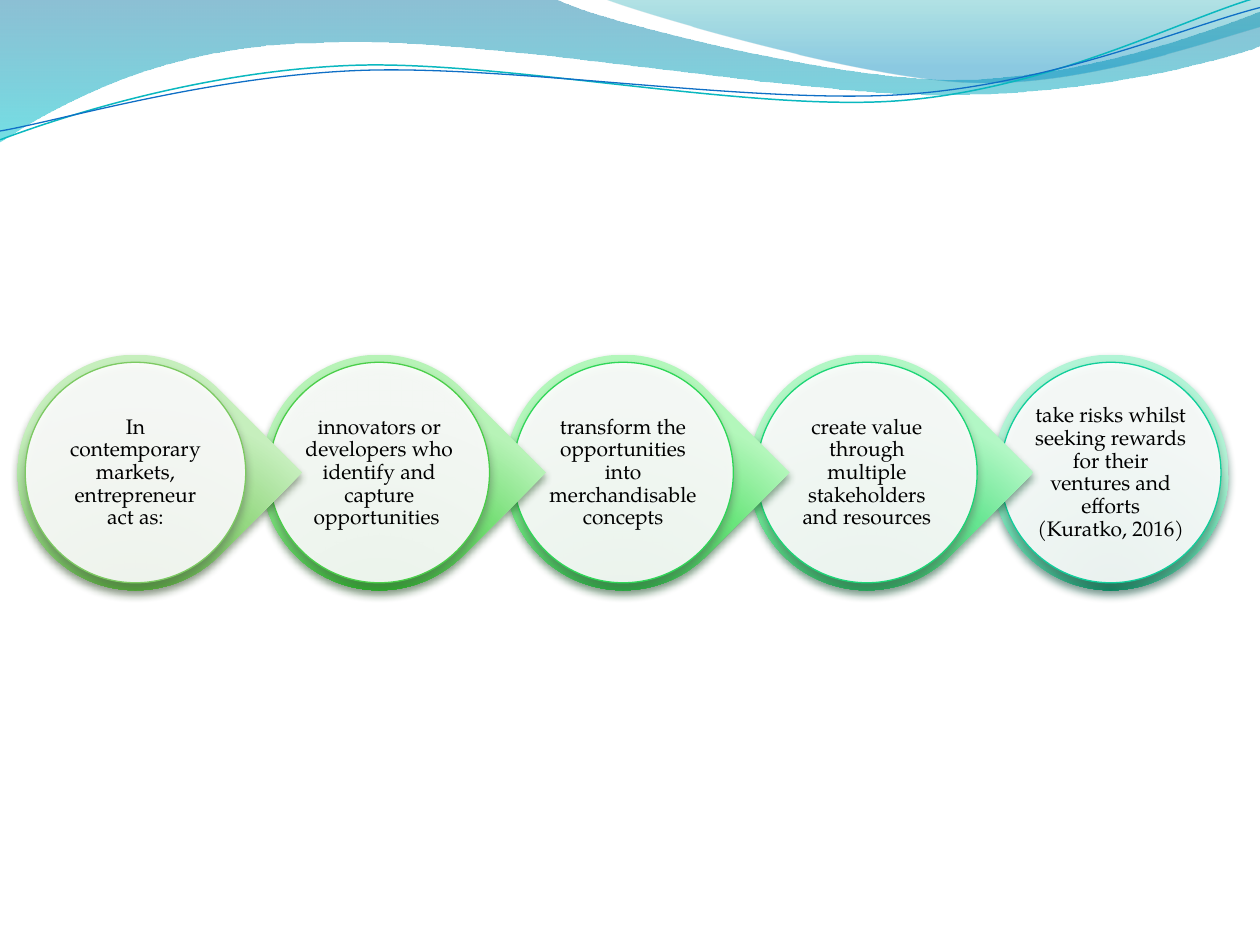
from math import cos, radians, sin

from lxml.etree import SubElement
from pptx import Presentation
from pptx.dml.color import RGBColor
from pptx.enum.shapes import MSO_SHAPE
from pptx.enum.text import MSO_ANCHOR, PP_ALIGN
from pptx.oxml.ns import qn
from pptx.util import Inches, Pt

FONT = "TeX Gyre Pagella"
BLACK = RGBColor(0x00, 0x00, 0x00)
WHITE = RGBColor(0xFF, 0xFF, 0xFF)
GREY = RGBColor(0x5A, 0x5A, 0x5A)
TEAL = RGBColor(0x0A, 0xB8, 0xBF)
BLUE = RGBColor(0x0F, 0x6F, 0xC6)
WAVE_STOPS = [(0, RGBColor(0x00, 0x74, 0xA1), 45), (100, RGBColor(0x00, 0xC6, 0xCF), 55)]
CREST_STOPS = [(0, RGBColor(0x00, 0xA1, 0xA9), 30), (80, RGBColor(0x00, 0x8B, 0xBF), 45)]

WAVE = [(0, -0.01), (4.4, -0.01), (4.76, 0.17, 6.64, 0.63, 7.58, 0.63),
        (8.53, 0.63, 9.58, 0.26, 10, 0.09), (10.01, 0.36),
        (9.83, 0.44, 8.7, 0.76, 7.46, 0.75), (6.22, 0.75, 3.82, 0.28, 2.57, 0.34),
        (1.29, 0.35, 0.46, 0.83, -0.01, 1.13)]
CREST = [(4.79, -0.01), (5.09, 0.11, 6.82, 0.62, 7.69, 0.65),
         (8.56, 0.69, 9.61, 0.32, 10, 0.21), (10, 0)]
TEAL_LINE = [(0, 1.11), (0.48, 0.93, 1.58, 0.57, 2.77, 0.52),
             (3.95, 0.47, 5.93, 0.89, 7.13, 0.8), (8.33, 0.71, 9.38, 0.15, 9.98, -0.02)]
BLUE_LINE = [(0, 1.04), (0.47, 0.96, 1.64, 0.61, 2.83, 0.56),
             (4.03, 0.51, 5.97, 0.83, 7.17, 0.75), (8.36, 0.67, 9.41, 0.21, 10, 0.06)]
LINE_TILT = -2.7
LINE_CENTER = (4.99, 0.58)

STEPS = [
    ("In contemporary markets, entrepreneur act as:",
     "319811", "95D882", "C6EFBD", "7CCA62", "2B4821"),
    ("innovators or developers who identify and capture opportunities ",
     "01A000", "75DE75", "B7F3B7", "4ACF49", "194A19"),
    ("transform the opportunities into merchandisable concepts",
     "009820", "6AE57C", "B3F7BB", "2FD757", "0F4D1E"),
    ("create value through multiple stakeholders and resources",
     "00923F", "66E591", "B2F7C5", "1CD676", "084D29"),
    ("take risks whilst seeking rewards for their ventures and efforts (Kuratko, 2016)",
     "008C60", "65DEB0", "B2F4D6", "10CF9B", "044A37"),
]
FIRST_LEFT, LAST_LEFT, MIDDLE = 0.14, 7.88, 3.75
PITCH = (LAST_LEFT - FIRST_LEFT) / (len(STEPS) - 1)
RIM_SIZE, DISC_SIZE, TEXT_SIZE = 1.87, 1.75, 1.25


def add_color(parent, color, alpha=100):
    """Append a colour with an opacity in percent."""
    element = SubElement(parent, qn("a:srgbClr"), val=str(color))
    if alpha < 100:
        SubElement(element, qn("a:alpha"), val=str(alpha * 1000))


def set_gradient(shape, stops, radial=False):
    """Fill a shape with a downward or a radial gradient."""
    shape.fill.background()
    empty = shape._element.spPr.find(qn("a:noFill"))
    gradient = empty.makeelement(qn("a:gradFill"), {"rotWithShape": "0" if radial else "1"})
    stop_list = SubElement(gradient, qn("a:gsLst"))
    for position, color, alpha in stops:
        add_color(SubElement(stop_list, qn("a:gs"), pos=str(position * 1000)), color, alpha)
    if radial:
        circle = SubElement(gradient, qn("a:path"), path="circle")
        SubElement(circle, qn("a:fillToRect"), l="50000", t="130000", r="50000", b="-30000")
    else:
        SubElement(gradient, qn("a:lin"), ang="5400000", scaled="1")
    empty.getparent().replace(empty, gradient)


def set_shadow(shape, color):
    """Give a shape a soft shadow below it."""
    shape.shadow.inherit = False
    effects = shape._element.spPr.find(qn("a:effectLst"))
    shadow = SubElement(effects, qn("a:outerShdw"), blurRad=str(Pt(4.5)), dist=str(Pt(3)),
                        dir="5400000", rotWithShape="0")
    add_color(shadow, color, 48)


def point_pairs(segment):
    """Split flat coordinates into points."""
    return list(zip(segment[::2], segment[1::2]))


def level(segment):
    """Turn the points of a tilted line back to level."""
    angle = radians(-LINE_TILT)
    center_x, center_y = LINE_CENTER
    turned = []
    for x, y in point_pairs(segment):
        across, down = x - center_x, y - center_y
        turned += [center_x + across * cos(angle) - down * sin(angle),
                   center_y + across * sin(angle) + down * cos(angle)]
    return turned


def add_outline(slide, segments, close):
    """Add a freeform of lines and cubic curves without a shadow."""
    ends = [(Inches(segment[-2]), Inches(segment[-1])) for segment in segments]
    builder = slide.shapes.build_freeform(*ends[0])
    builder.add_line_segments(ends[1:], close=close)
    shape = builder.convert_to_shape()
    shape.shadow.inherit = False
    lines = list(shape._element.iter(qn("a:lnTo")))
    for line, segment in zip(lines, segments[1:]):
        if len(segment) == 6:
            curve = line.makeelement(qn("a:cubicBezTo"), {})
            for x, y in point_pairs(segment):
                SubElement(curve, qn("a:pt"), x=str(Inches(x) - shape.left),
                           y=str(Inches(y) - shape.top))
            line.getparent().replace(line, curve)
    return shape


def add_wave(slide, segments, stops):
    """Add a filled wave."""
    shape = add_outline(slide, segments, True)
    set_gradient(shape, stops)
    shape.line.fill.background()


def add_wave_line(slide, segments, color, width):
    """Add a thin, tilted wavy line."""
    shape = add_outline(slide, [level(segment) for segment in segments], False)
    shape.rotation = LINE_TILT
    shape.fill.background()
    shape.line.color.rgb = color
    shape.line.width = Pt(width)


def centred_box(center_x, size):
    """Return the left, top, width and height of a square on the middle line."""
    return Inches(center_x - size / 2), Inches(MIDDLE - size / 2), Inches(size), Inches(size)


def add_rim(slide, box, colors, shadow_color, pointed):
    """Add the coloured rim of a step, pointed to the right when another follows."""
    kind = MSO_SHAPE.TEAR if pointed else MSO_SHAPE.OVAL
    shape = slide.shapes.add_shape(kind, *box)
    shape.rotation = 45 if pointed else 0
    stops = [(position, color, 100) for position, color in zip((0, 68, 100), colors)]
    set_gradient(shape, stops, radial=True)
    shape.line.fill.background()
    set_shadow(shape, shadow_color)


def add_disc(slide, box, line_color):
    """Add the pale disc inside a rim."""
    shape = slide.shapes.add_shape(MSO_SHAPE.OVAL, *box)
    shape.fill.solid()
    shape.fill.fore_color.rgb = WHITE
    color = shape._element.spPr.find(qn("a:solidFill")).find(qn("a:srgbClr"))
    SubElement(color, qn("a:alpha"), val="90000")
    shape.line.color.rgb = line_color
    shape.line.width = Pt(0.75)
    set_shadow(shape, GREY)


def add_label(slide, box, text):
    """Add the centred text of a step."""
    frame = slide.shapes.add_textbox(*box).text_frame
    frame.word_wrap = True
    frame.vertical_anchor = MSO_ANCHOR.MIDDLE
    frame.margin_left = frame.margin_right = Inches(0.02)
    frame.margin_top = frame.margin_bottom = Inches(0.02)
    paragraph = frame.paragraphs[0]
    paragraph.alignment = PP_ALIGN.CENTER
    paragraph.line_spacing = 0.9
    run = paragraph.add_run()
    run.text = text
    run.font.name = FONT
    run.font.size = Pt(12)
    run.font.color.rgb = BLACK


def add_step(slide, index):
    """Add one step of the process."""
    text, *codes = STEPS[index]
    *rim_colors, line_color, shadow_color = map(RGBColor.from_string, codes)
    center = FIRST_LEFT + index * PITCH + RIM_SIZE / 2
    pointed = index < len(STEPS) - 1
    add_rim(slide, centred_box(center, RIM_SIZE), rim_colors, shadow_color, pointed)
    add_disc(slide, centred_box(center, DISC_SIZE), line_color)
    add_label(slide, centred_box(center, TEXT_SIZE), text)


def main():
    """Build the slide and save it."""
    presentation = Presentation()
    presentation.slide_width, presentation.slide_height = Inches(10), Inches(7.5)
    slide = presentation.slides.add_slide(presentation.slide_layouts[6])
    add_wave(slide, WAVE, WAVE_STOPS)
    add_wave(slide, CREST, CREST_STOPS)
    add_wave_line(slide, TEAL_LINE, TEAL, 0.85)
    add_wave_line(slide, BLUE_LINE, BLUE, 0.75)
    for index in reversed(range(len(STEPS))):
        add_step(slide, index)
    presentation.save("out.pptx")


if __name__ == "__main__":
    main()
